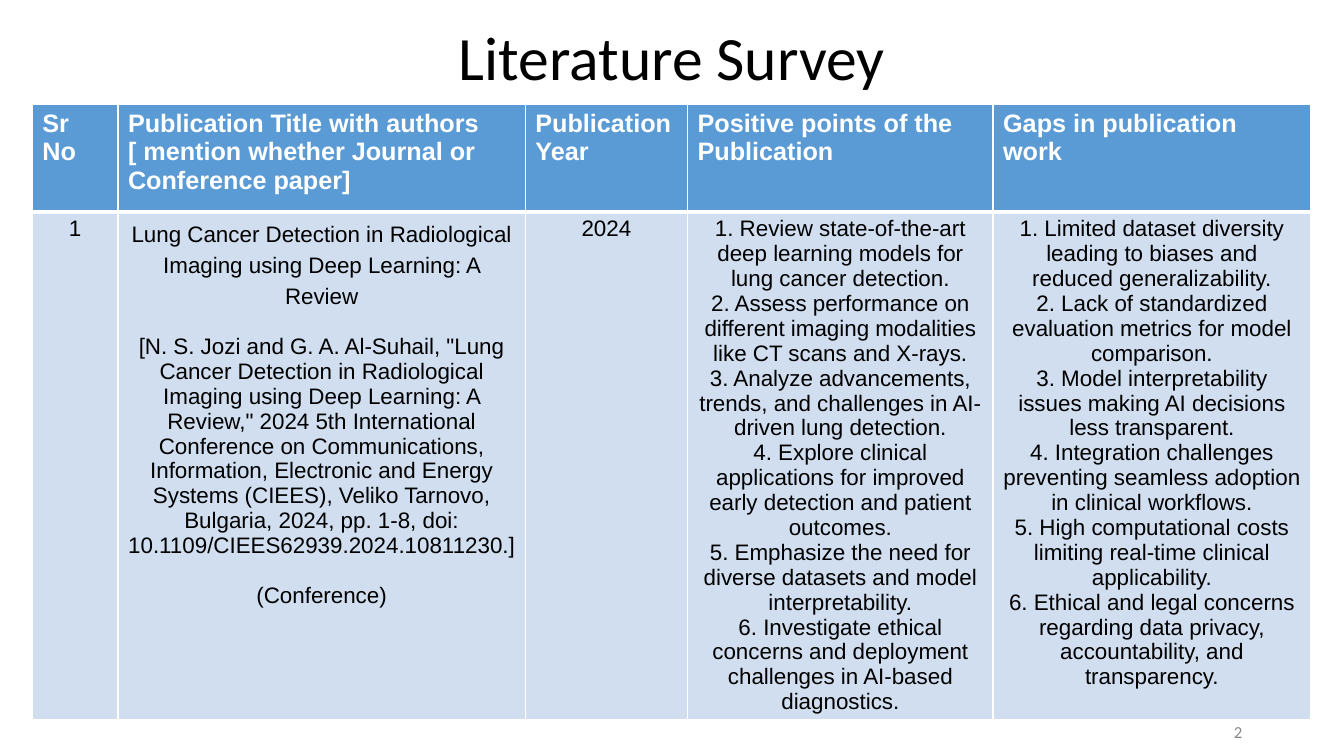
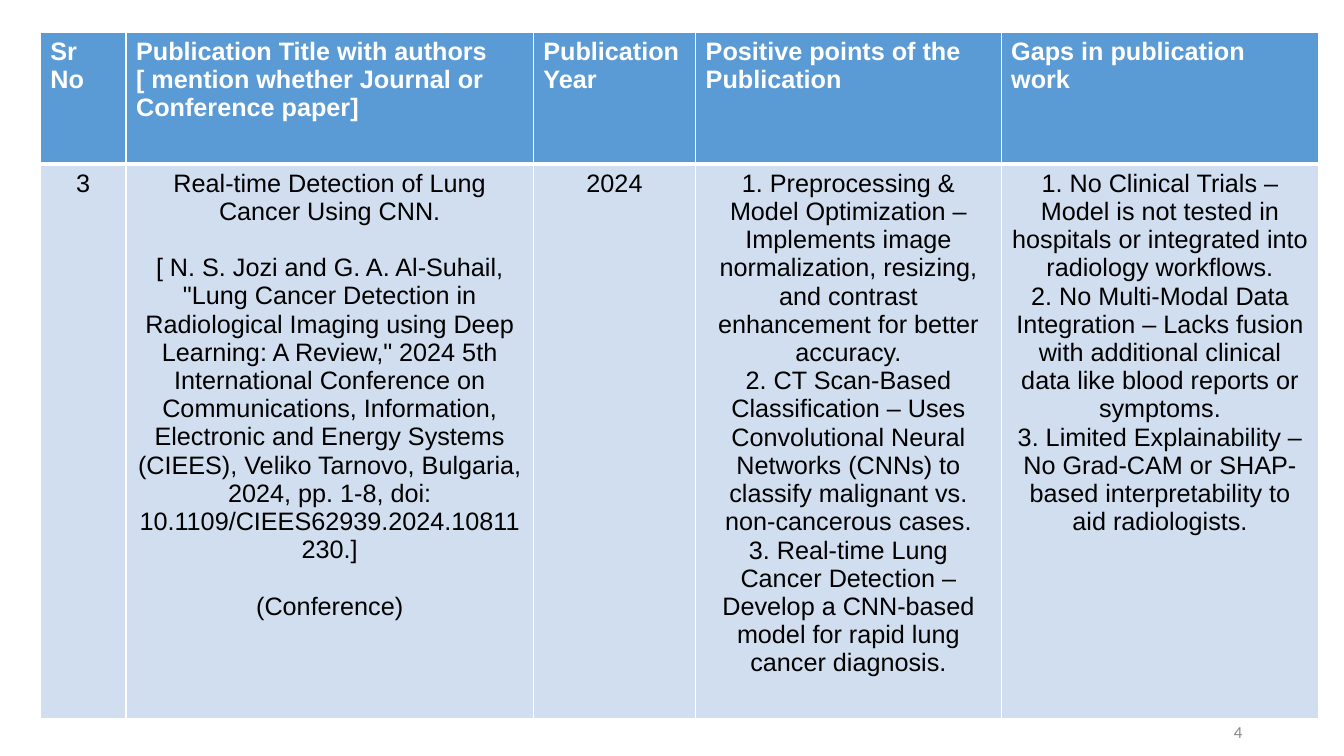
from lxml import etree
from pptx import Presentation
from pptx import util as u
from pptx.dml.color import RGBColor
from pptx.enum import text
from pptx.oxml.ns import qn

PX = 9144  # 100 px to the inch
WHITE, BLACK, GREY, BLUE, PALE = "FFFFFF", "000000", "888888", "5B9BD5", "D0DEEF"
LEFT, MID, RIGHT = text.PP_ALIGN.LEFT, text.PP_ALIGN.CENTER, text.PP_ALIGN.RIGHT

# Shared formats
TITLE = dict(name="Calibri", size=u.Pt(44), bold=False)
PAGE = dict(name="Calibri", size=u.Pt(12), bold=False)
HEAD = dict(name="Arial", size=u.Pt(18), bold=True)
BODY = dict(name="Arial", bold=False)
COLS = [85, 404, 161, 303, 315]
HEADS = ["Sr No",
         "Publication Title with authors [ mention whether Journal or Conference paper]",
         "Publication Year", "Positive points of the Publication",
         "Gaps in publication work"]
CITE = ('N. S. Jozi and G. A. Al-Suhail, "Lung Cancer Detection in Radiological '
        'Imaging using Deep Learning: A Review," 2024 5th International Conference on '
        'Communications, Information, Electronic and Energy Systems (CIEES), Veliko '
        'Tarnovo, Bulgaria, 2024, pp. 1-8, doi: 10.1109/CIEES62939.2024.10811230.]')

# Content of each slide; body rows grow to fit their text
PAGES = [
    dict(title="Literature Survey", page="2", at=(32, 104), rows=(106, 417),
         size=16, gap=18, lead=1.24, cells=[
             ["1"],
             ["Lung Cancer Detection in Radiological Imaging using Deep Learning: A Review",
              "[" + CITE, "(Conference)"],
             ["2024"],
             ["1. Review state-of-the-art deep learning models for lung cancer detection.",
              "2. Assess performance on different imaging modalities like CT scans and X-rays.",
              "3. Analyze advancements, trends, and challenges in AI-driven lung detection.",
              "4. Explore clinical applications for improved early detection and patient outcomes.",
              "5. Emphasize the need for diverse datasets and model interpretability.",
              "6. Investigate ethical concerns and deployment challenges in AI-based diagnostics."],
             ["1. Limited dataset diversity leading to biases and reduced generalizability.",
              "2. Lack of standardized evaluation metrics for model comparison.",
              "3. Model interpretability issues making AI decisions less transparent.",
              "4. Integration challenges preventing seamless adoption in clinical workflows.",
              "5. High computational costs limiting real-time clinical applicability.",
              "6. Ethical and legal concerns regarding data privacy, accountability, and "
              "transparency."]]),
    dict(title=None, page="4", at=(40, 32), rows=(131, 131),
         size=18, gap=20, lead=1.0, cells=[
             ["3"],
             ["Real-time Detection of Lung Cancer Using CNN.", "[ " + CITE, "(Conference)"],
             ["2024"],
             ["1. Preprocessing & Model Optimization – Implements image normalization, "
              "resizing, and contrast enhancement for better accuracy.",
              "2. CT Scan-Based Classification – Uses Convolutional Neural Networks (CNNs) "
              "to classify malignant vs. non-cancerous cases.",
              "3. Real-time Lung Cancer Detection – Develop a CNN-based model for rapid "
              "lung cancer diagnosis."],
             ["1. No Clinical Trials – Model is not tested in hospitals or integrated into "
              "radiology workflows.",
              "2. No Multi-Modal Data Integration – Lacks fusion with additional clinical "
              "data like blood reports or symptoms.",
              "3. Limited Explainability – No Grad-CAM or SHAP-based interpretability to "
              "aid radiologists."]]),
]


def write(frame, lines, form, color, align, gap=0):
    """Write one paragraph per line, with a gap between them."""
    for i, line in enumerate(lines):
        para = frame.paragraphs[0] if i == 0 else frame.add_paragraph()
        para.text, para.alignment = line, align
        para.space_before = u.Pt(gap if i else 0)
        for key, val in form.items():
            setattr(para.font, key, val)
        para.font.color.rgb = RGBColor.from_string(color)


def paint(cell, color, edges):
    """Give a cell white borders, then its fill."""
    props = cell._tc.get_or_add_tcPr()
    for side, width in edges.items():
        line = etree.SubElement(props, qn("a:ln" + side), w=str(u.Pt(width)))
        solid = etree.SubElement(line, qn("a:solidFill"))
        etree.SubElement(solid, qn("a:srgbClr"), val=WHITE)
    cell.fill.solid()
    cell.fill.fore_color.rgb = RGBColor.from_string(color)


deck = Presentation()
deck.slide_width, deck.slide_height = 1333 * PX, 750 * PX

for data in PAGES:
    slide = deck.slides.add_slide(deck.slide_layouts[5 if data["title"] else 6])

    # Title
    if data["title"]:
        title = slide.shapes.title
        spot = dict(left=223, top=17, width=887, height=87)
        for key, val in spot.items():
            setattr(title, key, val * PX)
        frame = title.text_frame
        frame.vertical_anchor = text.MSO_ANCHOR.TOP
        for side in ("left", "top", "right", "bottom"):
            setattr(frame, "margin_" + side, 10 * PX)
        write(frame, [data["title"]], TITLE, BLACK, MID)
        frame.paragraphs[0].line_spacing = 0.9

    # Survey table
    left, top = data["at"]
    shape = slide.shapes.add_table(2, len(COLS), left * PX, top * PX,
                                   sum(COLS) * PX, sum(data["rows"]) * PX)
    grid = shape.table
    grid.horz_banding = False
    for row, high in zip(grid.rows, data["rows"]):
        row.height = high * PX
    shape.height = 328 * PX
    form = dict(BODY, size=u.Pt(data["size"]))
    for i, wide in enumerate(COLS):
        grid.columns[i].width = wide * PX
        head, body = grid.cell(0, i), grid.cell(1, i)
        paint(head, BLUE, dict(L=1, R=1, T=1, B=3))
        paint(body, PALE, dict(L=1, R=1, T=3, B=1))
        write(head.text_frame, [HEADS[i]], HEAD, WHITE, LEFT)
        write(body.text_frame, data["cells"][i], form, BLACK, MID,
              data["gap"] if i == 1 else 0)
    grid.cell(1, 1).text_frame.paragraphs[0].line_spacing = data["lead"]

    # Page number, clear of the table
    box = slide.shapes.add_textbox(942 * PX, 706 * PX, 300 * PX, 40 * PX)
    box.text_frame.word_wrap = True
    box.text_frame.vertical_anchor = text.MSO_ANCHOR.MIDDLE
    write(box.text_frame, [data["page"]], PAGE, GREY, RIGHT)

deck.save("out.pptx")
